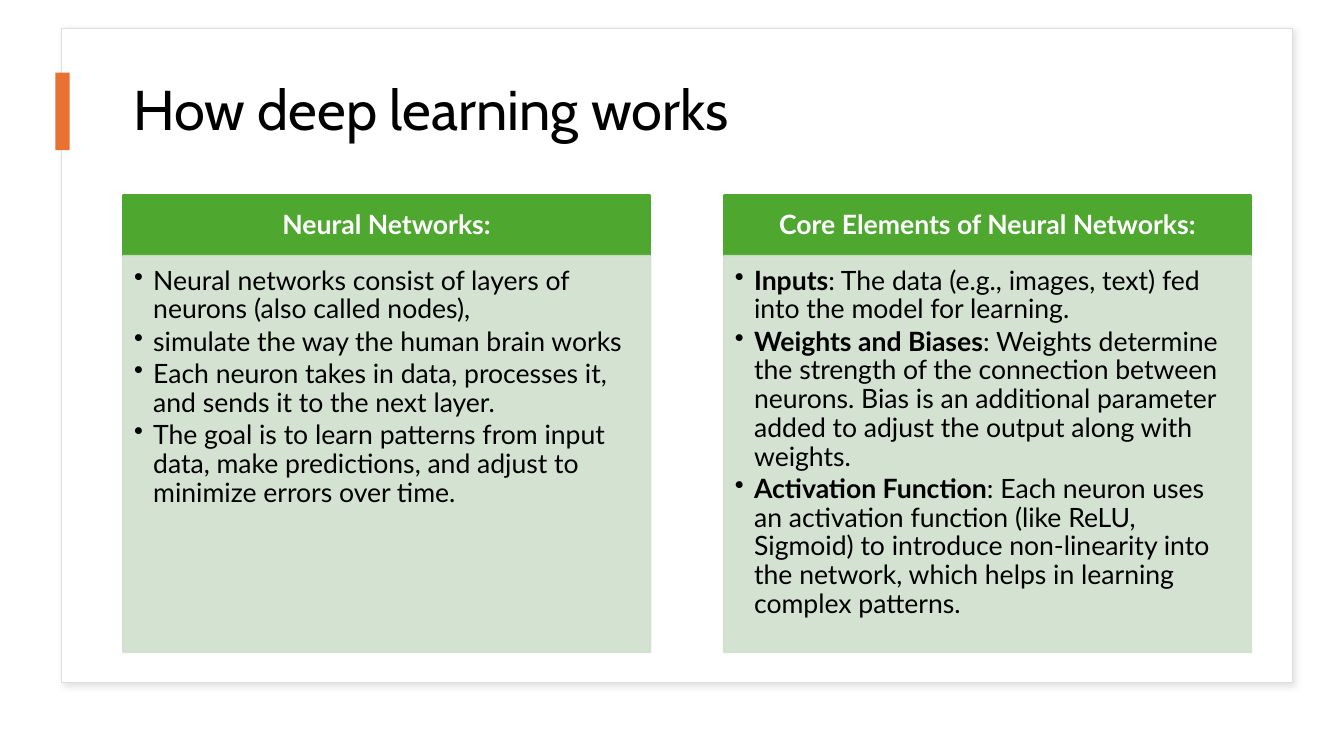
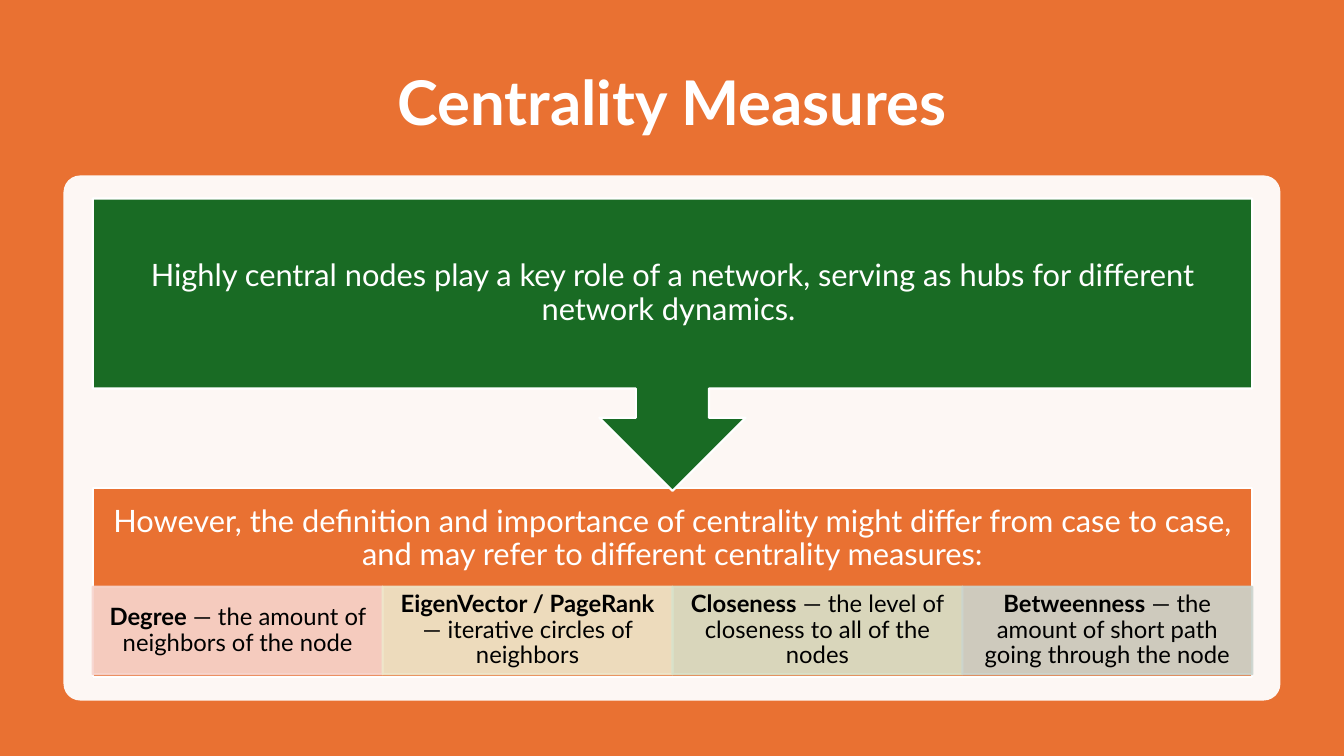
from dataclasses import dataclass

from lxml import etree
from pptx import Presentation
from pptx import util as u
from pptx.dml.color import RGBColor
from pptx.enum import shapes, text
from pptx.oxml import ns

KIND = shapes.MSO_SHAPE
ALIGN = text.PP_ALIGN
ANCHOR = text.MSO_ANCHOR


# Colours, fonts and type sizes
@dataclass(frozen=True)
class Theme:
    white: str = "FFFFFF"
    black: str = "000000"
    orange: str = "E97132"
    green: str = "4EA72E"
    forest: str = "196B24"
    pale: str = "D0E1CD"
    edge: str = "DEDEDE"
    shade: str = "C5C5C5"
    tints: tuple = ("F7D5CE", "EEE7CB", "D8E2CA", "CCD4CD")
    head: str = "Cabin"
    body: str = "Lato"
    large: int = 44
    title: int = 40
    lead: int = 22
    list: int = 19
    note: int = 17


T = Theme()


# Content
COLUMNS = [
    ("Neural Networks:", [
        "Neural networks consist of layers of neurons (also called nodes),",
        "simulate the way the human brain works",
        "Each neuron takes in data, processes it, and sends it to the next layer.",
        "The goal is to learn patterns from input data, make predictions, "
        "and adjust to minimize errors over time.",
    ]),
    ("Core Elements of Neural Networks:", [
        ("Inputs", ": The data (e.g., images, text) fed into the model for learning."),
        ("Weights and Biases",
         ": Weights determine the strength of the connection between neurons. "
         "Bias is an additional parameter added to adjust the output along with weights."),
        ("Activation Function",
         ": Each neuron uses an activation function (like ReLU, Sigmoid) to introduce "
         "non-linearity into the network, which helps in learning complex patterns."),
    ]),
]
CLAIM = ("Highly central nodes play a key role of a network, "
         "serving as hubs for different network dynamics. ")
CAVEAT = ("However, the definition and importance of centrality might differ "
          "from case to case, and may refer to different centrality measures:")
MEASURES = [
    ("Degree", " — the amount of neighbors of the node"),
    ("EigenVector / PageRank ", "— iterative circles of neighbors"),
    ("Closeness", " — the level of closeness to all of the nodes"),
    ("Betweenness", " — the amount of short path going through the node"),
]


def add_xml(parent, tag, **attrs):
    return etree.SubElement(parent, ns.qn(tag), attrs)


def paint(fill, color, alpha):
    """Fill with a solid colour, see-through below 100 per cent."""
    fill.solid()
    fill.fore_color.rgb = RGBColor.from_string(color)
    if alpha < 100:
        for node in fill._xPr.iter(ns.qn("a:srgbClr")):
            if not len(node):
                add_xml(node, "a:alpha", val=str(alpha * 1000))


def add_box(slide, area, fill, line=None, width=1.5, alpha=100, kind=KIND.RECTANGLE):
    box = slide.shapes.add_shape(kind, *map(u.Inches, area))
    box.shadow.inherit = False
    paint(box.fill, fill, alpha)
    if line:
        box.line.width = u.Pt(width)
        paint(box.line.fill, line, alpha)
    else:
        box.line.fill.background()
    return box


def add_shade(box):
    """Give a box a soft shadow to the lower right."""
    effects = box.element.spPr.find(ns.qn("a:effectLst"))
    shade = add_xml(effects, "a:outerShdw", blurRad=str(u.Pt(4)), dist=str(u.Pt(3)),
                    dir=str(45 * 60000), algn="tl", rotWithShape="0")
    color = add_xml(shade, "a:srgbClr", val=T.shade)
    add_xml(color, "a:alpha", val="50000")


def add_bullet(par):
    props = par._p.get_or_add_pPr()
    props.set("marL", str(u.Inches(0.19)))
    props.set("indent", str(u.Inches(-0.19)))
    add_xml(props, "a:buChar", char="•")


def write(box, items, size, color=T.black, font=T.body, bold=False, align=ALIGN.CENTER,
          anchor=ANCHOR.MIDDLE, inset=(0.1, 0.05, 0.1, 0.05), bullet=False, after=0):
    """Write paragraphs; a pair is a bold start and a plain rest."""
    frame = box.text_frame
    frame.word_wrap = True
    frame.vertical_anchor = anchor
    (frame.margin_left, frame.margin_top,
     frame.margin_right, frame.margin_bottom) = map(u.Inches, inset)
    for i, item in enumerate(items):
        par = frame.paragraphs[0] if i == 0 else frame.add_paragraph()
        if bullet:
            add_bullet(par)
        par.alignment = align
        par.line_spacing = 0.9
        par.space_before = u.Pt(0)
        par.space_after = u.Pt(after)
        pair = isinstance(item, tuple)
        for j, words in enumerate(item if pair else (item,)):
            run = par.add_run()
            run.text = words
            run.font.size = u.Pt(size)
            run.font.name = font
            run.font.bold = j == 0 if pair else bold
            run.font.color.rgb = RGBColor.from_string(color)


def set_title(slide, words, area, size, **style):
    """Place the title above the shapes drawn so far."""
    title = slide.shapes.title
    title.left, title.top, title.width, title.height = map(u.Inches, area)
    write(title, [words], size, **style)
    slide.shapes.element.append(title.element)


def add_column(slide, left, head, items):
    top, width, tall = 1.94, 5.23, 0.6
    bar = add_box(slide, (left, top, width, tall), T.green, line=T.green)
    write(bar, [head], T.list, color=T.white, bold=True, inset=(0.15, 0.08, 0.15, 0.08))
    card = add_box(slide, (left, top + tall, width, 3.93), T.pale, line=T.pale, alpha=90)
    write(card, items, T.list, align=ALIGN.LEFT, anchor=ANCHOR.TOP,
          inset=(0.11, 0.11, 0.15, 0.17), bullet=True, after=2.6)


def make_works(slide):
    frame = add_box(slide, (0.61, 0.28, 12.21, 6.49), T.white, line=T.edge, width=1)
    add_shade(frame)
    set_title(slide, "How deep learning works", (1.22, 0.56, 11.19, 1.11), T.title,
              font=T.head, align=ALIGN.LEFT)
    add_box(slide, (0.55, 0.72, 0.14, 0.77), T.orange)
    for i, (head, items) in enumerate(COLUMNS):
        add_column(slide, 1.22 + i * 5.96, head, items)


def make_measures(slide):
    left, width, pad = 0.92, 11.5, 0.17
    add_box(slide, (0, 0, 13.33, 7.5), T.orange)
    set_title(slide, "Centrality Measures", (left, 0.5, width, 1.1), T.large,
              color=T.white, bold=True)
    panel = add_box(slide, (0.63, 1.74, 12.07, 5.21), T.white, alpha=95,
                    kind=KIND.ROUNDED_RECTANGLE)
    panel.adjustments[0] = 0.032

    # Lower block keeps its text above the row of measures
    block = add_box(slide, (left, 4.84, width, 1.88), T.orange, line=T.white)
    write(block, [CAVEAT], T.lead, color=T.white, inset=(pad, pad, pad, pad + 0.86))
    step = width / len(MEASURES)
    for i, (item, tint) in enumerate(zip(MEASURES, T.tints)):
        cell = add_box(slide, (left + i * step, 5.82, step, 0.87), tint, line=tint, alpha=90)
        write(cell, [item], T.note, inset=(0.13, 0.02, 0.13, 0.02))

    # Upper block points down to the lower one
    claim = add_box(slide, (left, 1.97, width, 2.9), T.forest, line=T.white,
                    kind=KIND.DOWN_ARROW_CALLOUT)
    write(claim, [CLAIM], T.lead, color=T.white, inset=(pad,) * 4)


def main():
    deck = Presentation()
    deck.slide_width, deck.slide_height = u.Inches(13.33), u.Inches(7.5)
    for make in (make_works, make_measures):
        make(deck.slides.add_slide(deck.slide_layouts[5]))
    deck.save("out.pptx")


if __name__ == "__main__":
    main()
